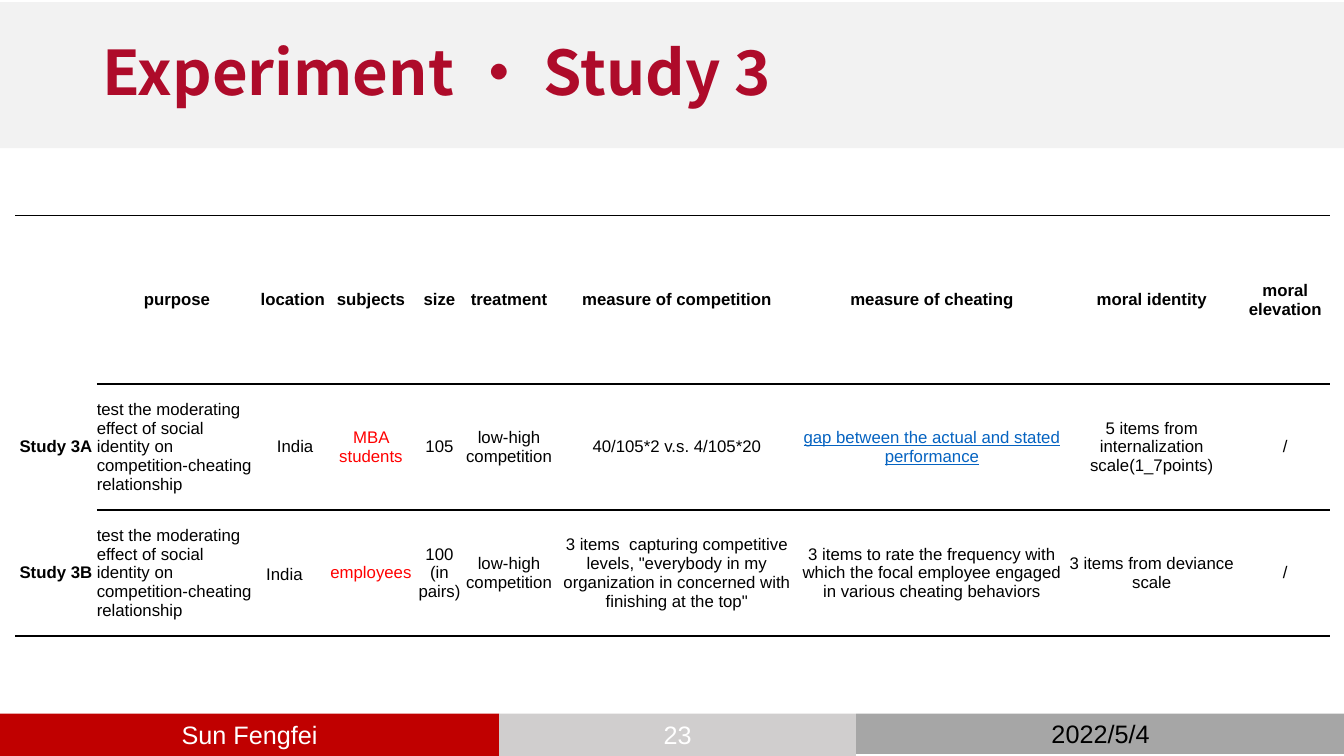
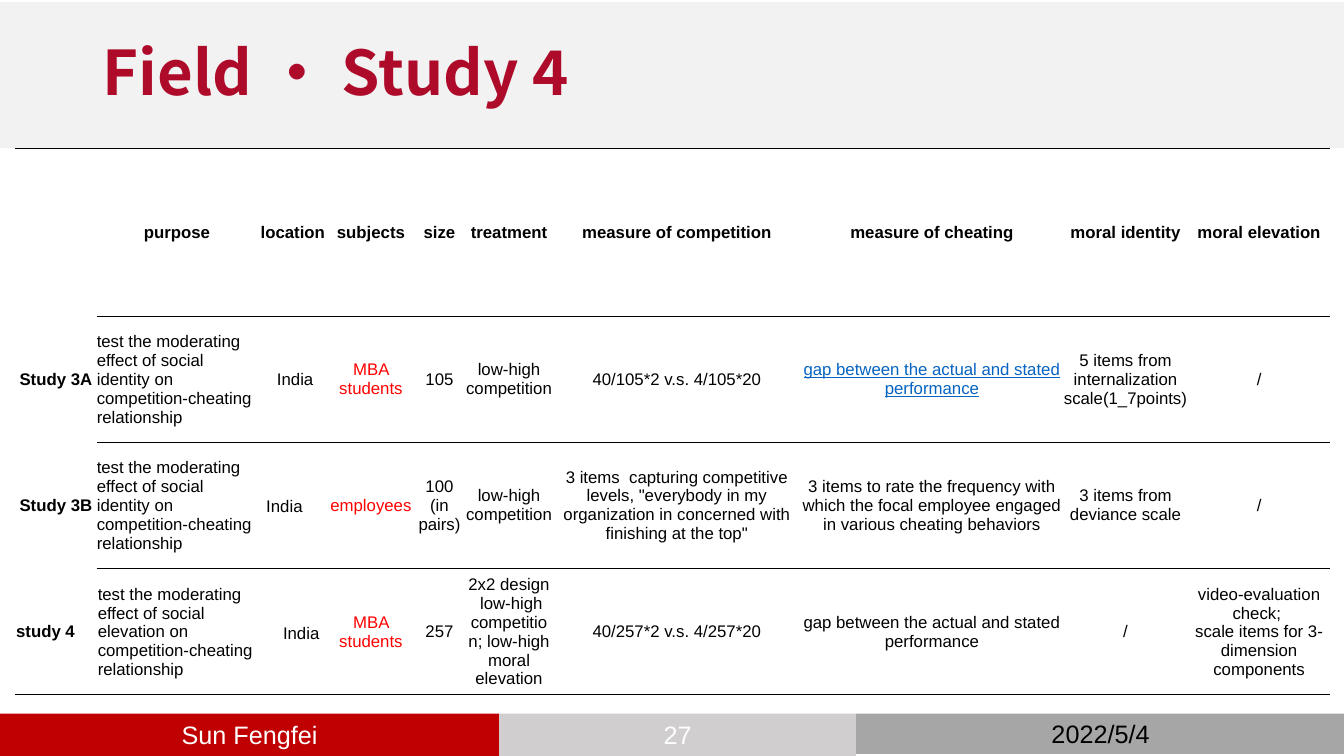
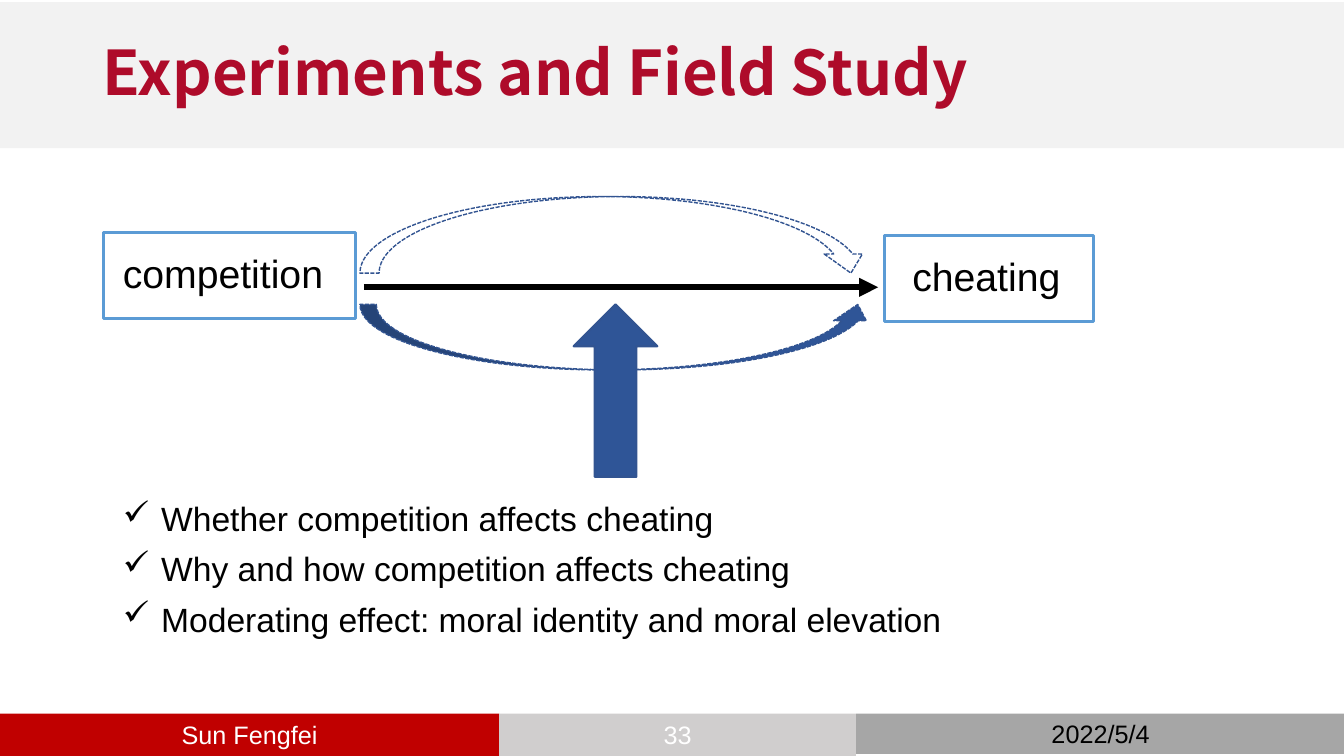
from dataclasses import dataclass

from pptx import Presentation
from pptx.dml.color import RGBColor
from pptx.enum.dml import MSO_LINE
from pptx.enum.shapes import MSO_CONNECTOR, MSO_SHAPE
from pptx.enum.text import MSO_ANCHOR as Anchor, PP_ALIGN as Align
from pptx.oxml import parse_xml
from pptx.oxml.ns import nsdecls, qn
from pptx.oxml.xmlchemy import OxmlElement
from pptx.shapes.autoshape import Shape
from pptx.slide import Slide
from pptx.table import _Cell as TableCell
from pptx.text.text import TextFrame
from pptx.util import Inches, Pt

BLACK = RGBColor(0x00, 0x00, 0x00)
WHITE = RGBColor(0xFF, 0xFF, 0xFF)
CRIMSON = RGBColor(0xAE, 0x0B, 0x2A)
FOOTER_RED = RGBColor(0xC0, 0x00, 0x00)
FOOTER_LIGHT = RGBColor(0xD0, 0xCE, 0xCE)
FOOTER_GRAY = RGBColor(0xA6, 0xA6, 0xA6)
BAND_GRAY = RGBColor(0xF2, 0xF2, 0xF2)
SUBJECT_RED = RGBColor(0xFF, 0x00, 0x00)
LINK_BLUE = RGBColor(0x05, 0x63, 0xC1)
BOX_BLUE = RGBColor(0x5B, 0x9B, 0xD5)
ARROW_BLUE = RGBColor(0x2F, 0x55, 0x97)
OUTLINE_BLUE = RGBColor(0x32, 0x54, 0x91)
BODY_FONT = "Arial"
TITLE_FONT = "Noto Sans CJK SC"
PLAIN_TABLE_STYLE = "{2D5ABB26-0587-4C30-8999-92F81FD0307C}"

PURPOSE_COLUMN, SUBJECTS_COLUMN, CHEATING_COLUMN = 1, 3, 7
SHARED_WIDTHS = (0.81, 1.59, 0.71, 0.84, 0.52, 0.86, 2.47, 2.59)
HEADER_HEIGHT, STUDY_HEIGHT = 1.67, 1.25


@dataclass(frozen=True)
class Area:
    left: float
    top: float
    width: float
    height: float

    def emu(self) -> tuple[Inches, Inches, Inches, Inches]:
        return Inches(self.left), Inches(self.top), Inches(self.width), Inches(self.height)


@dataclass(frozen=True)
class FooterPart:
    area: Area
    fill: RGBColor
    color: RGBColor
    text: str


@dataclass(frozen=True)
class Study:
    cells: tuple[str, ...]
    label_align: Align = Align.CENTER
    inset: float = 0
    linked: bool = False


@dataclass(frozen=True)
class Concept:
    text: str
    box: Area
    label: Area


@dataclass(frozen=True)
class Effect:
    kind: MSO_SHAPE
    area: Area
    fill: RGBColor | None
    line_width: float
    dash: MSO_LINE | None = None


HEADINGS = ("", "purpose", "location", "subjects", "size", "treatment",
            "measure of competition", "measure of cheating",
            "moral identity", "moral elevation")
PURPOSE = "test the moderating effect of social {} on competition-cheating relationship"
CHEATING_GAP = "gap between the actual and stated performance"
STUDY_3A = Study(
    ("Study 3A", PURPOSE.format("identity"), " India", "MBA students", "105",
     "low-high competition", "40/105*2 v.s. 4/105*20", CHEATING_GAP,
     "5 items from internalization scale(1_7points)", "/"),
    linked=True)
STUDY_3B = Study(
    ("Study 3B", PURPOSE.format("identity"), "India\u3000", "employees",
     "100\n(in pairs)", "low-high competition",
     '3 items  capturing competitive levels, "everybody in my organization '
     'in concerned with finishing at the top"',
     "3 items to rate the frequency with which the focal employee engaged "
     "in various cheating behaviors",
     "3 items from deviance scale", "/"))
STUDY_4 = Study(
    ("study 4", PURPOSE.format("elevation"), "\u3000India", "MBA students", "257",
     "2x2 design\n low-high competition; low-high moral elevation",
     "40/257*2 v.s. 4/257*20", CHEATING_GAP, "/",
     "video-evaluation check; \nscale items for 3-dimension components"),
    label_align=Align.LEFT, inset=0.01)

CONCEPTS = (
    Concept("competition", Area(1.03, 2.31, 2.5, 0.85), Area(1.12, 2.42, 2.43, 0.57)),
    Concept("cheating", Area(8.77, 2.34, 2.08, 0.85), Area(8.95, 2.45, 1.83, 0.57)),
)
EFFECTS = (
    Effect(MSO_SHAPE.CURVED_DOWN_ARROW, Area(3.57, 1.95, 5.06, 0.76), None, 1,
           MSO_LINE.SQUARE_DOT),
    Effect(MSO_SHAPE.CURVED_UP_ARROW, Area(3.57, 3.02, 5.1, 0.65), ARROW_BLUE, 1,
           MSO_LINE.SQUARE_DOT),
    Effect(MSO_SHAPE.UP_ARROW, Area(5.69, 3.02, 0.83, 1.71), ARROW_BLUE, 1.5),
)
QUESTIONS = ("Whether competition affects cheating\n"
             "Why and how competition affects cheating\n"
             "Moderating effect: moral identity and moral elevation")


def write(frame: TextFrame, text: str, *, size: float, color: RGBColor = BLACK,
          font: str = BODY_FONT, bold: bool = False, underline: bool = False,
          align: Align = Align.LEFT, spacing: float = 1.0,
          bullet: str = "", indent: float = 0) -> None:
    frame.word_wrap = True
    for index, line in enumerate(text.split("\n")):
        paragraph = frame.add_paragraph() if index else frame.paragraphs[0]
        paragraph.alignment = align
        paragraph.line_spacing = spacing
        if bullet:
            properties = paragraph._p.get_or_add_pPr()
            properties.set("marL", str(Inches(indent)))
            properties.set("indent", str(-Inches(indent)))
            mark = OxmlElement("a:buChar")
            mark.set("char", bullet)
            properties.append(mark)
        run = paragraph.add_run()
        run.text = line
        run.font.size = Pt(size)
        run.font.name = font
        run.font.bold = bold
        run.font.underline = underline
        run.font.color.rgb = color
        east_asian = OxmlElement("a:ea")
        east_asian.set("typeface", TITLE_FONT)
        run.font._element.find(qn("a:latin")).addnext(east_asian)


def add_block(slide: Slide, kind: MSO_SHAPE, area: Area, fill: RGBColor | None,
              line: RGBColor | None = None, line_width: float = 1,
              dash: MSO_LINE | None = None) -> Shape:
    block = slide.shapes.add_shape(kind, *area.emu())
    block.shadow.inherit = False
    if fill is None:
        block.fill.background()
    else:
        block.fill.solid()
        block.fill.fore_color.rgb = fill
    if line is None:
        block.line.fill.background()
    else:
        block.line.color.rgb = line
        block.line.width = Pt(line_width)
        if dash is not None:
            block.line.dash_style = dash
    return block


def add_label(slide: Slide, area: Area) -> TextFrame:
    return slide.shapes.add_textbox(*area.emu()).text_frame


def start_slide(deck: Presentation, title: str, number: int) -> Slide:
    slide = deck.slides.add_slide(deck.slide_layouts[6])
    footer = (
        FooterPart(Area(0, 7.08, 4.95, 0.42), FOOTER_RED, WHITE, "Sun Fengfei"),
        FooterPart(Area(4.95, 7.08, 3.54, 0.42), FOOTER_LIGHT, WHITE, str(number)),
        FooterPart(Area(8.49, 7.08, 4.85, 0.4), FOOTER_GRAY, BLACK, "2022/5/4"),
    )
    for part in footer:
        block = add_block(slide, MSO_SHAPE.RECTANGLE, part.area, part.fill)
        block.text_frame.vertical_anchor = Anchor.MIDDLE
        write(block.text_frame, part.text, size=18, color=part.color, align=Align.CENTER)
    add_block(slide, MSO_SHAPE.RECTANGLE, Area(0, 0.02, 13.33, 1.45), BAND_GRAY)
    heading = add_label(slide, Area(0.92, 0.02, 11.5, 1.45))
    heading.vertical_anchor = Anchor.MIDDLE
    write(heading, title, size=44, color=CRIMSON, font=TITLE_FONT, bold=True, spacing=0.9)
    return slide


def rule(cell: TableCell, side: str) -> None:
    cell._tc.get_or_add_tcPr().append(parse_xml(
        f'<a:{side} {nsdecls("a")} w="{Pt(1)}"><a:solidFill>'
        f'<a:srgbClr val="{BLACK}"/></a:solidFill></a:{side}>'))


def add_studies(slide: Slide, top: float, moral_widths: tuple[float, float],
                studies: tuple[Study, ...]) -> None:
    widths = SHARED_WIDTHS + moral_widths
    rows = (Study(HEADINGS), *studies)
    heights = (HEADER_HEIGHT,) + (STUDY_HEIGHT,) * len(studies)
    area = Area(0.15, top, sum(widths), sum(heights))
    table = slide.shapes.add_table(len(rows), len(widths), *area.emu()).table
    table._tbl.tblPr.find(qn("a:tableStyleId")).text = PLAIN_TABLE_STYLE
    table.first_row = table.horz_banding = False
    for column, width in zip(table.columns, widths):
        column.width = Inches(width)
    for row, height in zip(table.rows, heights):
        row.height = Inches(height)
    for r, study in enumerate(rows):
        for c, text in enumerate(study.cells):
            cell = table.cell(r, c)
            cell.margin_left = cell.margin_right = cell.margin_top = Inches(study.inset)
            cell.margin_bottom = 0
            cell.vertical_anchor = Anchor.MIDDLE
            if r == 0 or (r == 2 and c > 0):
                rule(cell, "lnT")
            if r == len(rows) - 1 or (r < 2 and c > 0):
                rule(cell, "lnB")
            cell.fill.background()
            linked = study.linked and c == CHEATING_COLUMN
            color, align = BLACK, Align.CENTER
            if linked:
                color = LINK_BLUE
            elif r and c == SUBJECTS_COLUMN:
                color = SUBJECT_RED
            if c == 0:
                align = study.label_align
            elif r and c == PURPOSE_COLUMN:
                align = Align.LEFT
            if text:
                write(cell.text_frame, text, size=12, color=color,
                      bold=r == 0 or c == 0, underline=linked, align=align)


def add_main_effect(slide: Slide) -> None:
    arrow = slide.shapes.add_connector(
        MSO_CONNECTOR.STRAIGHT, Inches(3.61), Inches(2.85), Inches(8.71), Inches(2.85))
    arrow.line.color.rgb = BLACK
    arrow.line.width = Pt(4.5)
    head = OxmlElement("a:tailEnd")
    head.set("type", "triangle")
    arrow.line._get_or_add_ln().append(head)
    arrow._element.spPr.append(OxmlElement("a:effectLst"))


def add_model(slide: Slide) -> None:
    for concept in CONCEPTS:
        add_block(slide, MSO_SHAPE.RECTANGLE, concept.box, WHITE, BOX_BLUE, 2.25)
        write(add_label(slide, concept.label), concept.text, size=28)
    add_main_effect(slide)
    for effect in EFFECTS:
        add_block(slide, effect.kind, effect.area, effect.fill, OUTLINE_BLUE,
                  effect.line_width, effect.dash)
    write(add_label(slide, Area(1.12, 4.79, 10.59, 2.42)), QUESTIONS, size=24,
          spacing=1.25, bullet="✓", indent=0.38)


def main() -> None:
    deck = Presentation()
    deck.slide_width, deck.slide_height = Inches(13.33), Inches(7.5)
    experiment = start_slide(deck, "Experiment · Study 3", 23)
    add_studies(experiment, 2.14, (1.77, 0.88), (STUDY_3A, STUDY_3B))
    field = start_slide(deck, "Field · Study 4", 27)
    add_studies(field, 1.47, (1.25, 1.4), (STUDY_3A, STUDY_3B, STUDY_4))
    add_model(start_slide(deck, "Experiments and Field Study", 33))
    deck.save("out.pptx")


main()
